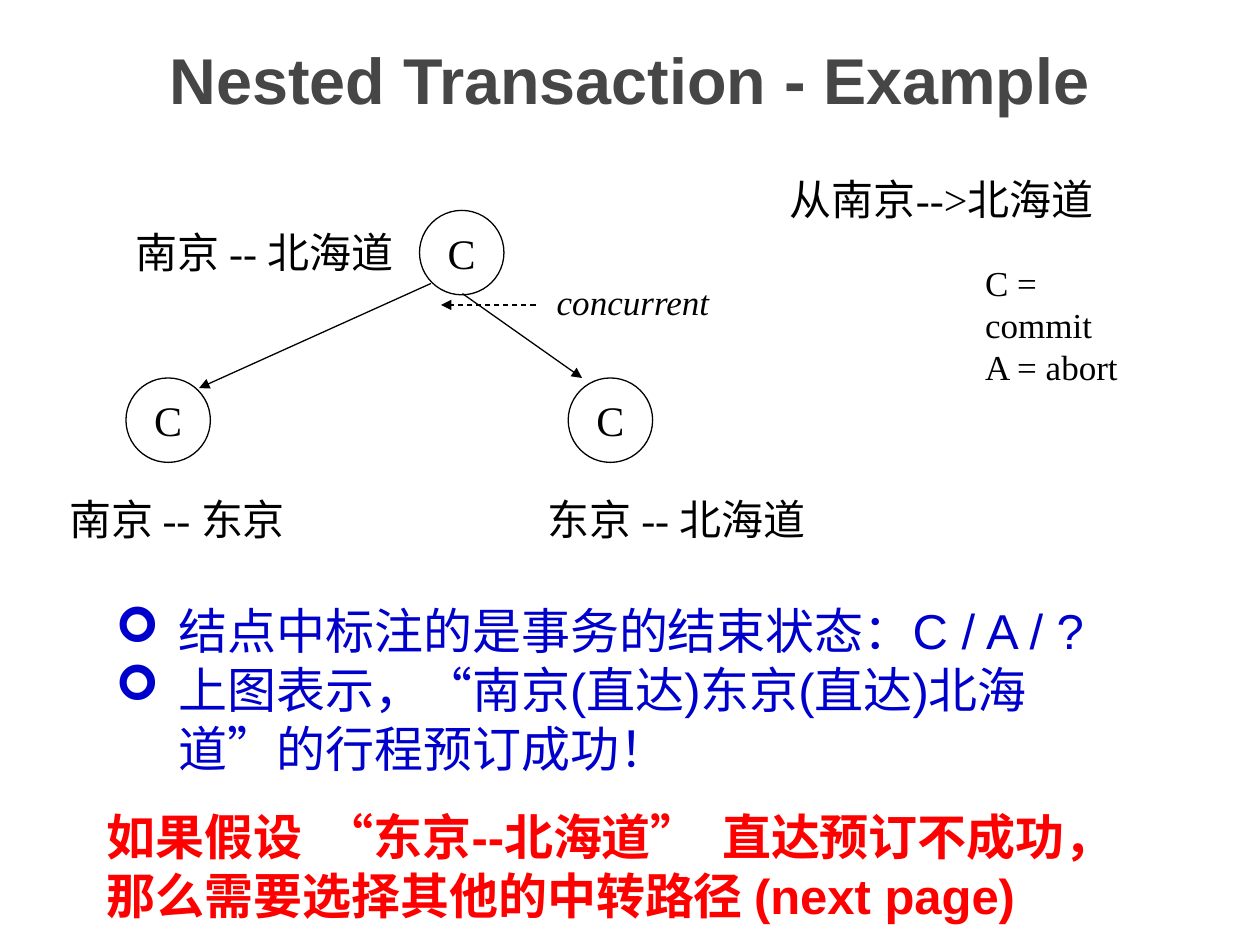
from pptx import Presentation
from pptx.dml.color import RGBColor
from pptx.enum.dml import MSO_LINE
from pptx.enum.shapes import MSO_CONNECTOR, MSO_SHAPE
from pptx.enum.text import MSO_ANCHOR, PP_ALIGN
from pptx.oxml.ns import qn
from pptx.util import Inches, Pt
from lxml.etree import SubElement

BLACK, WHITE, GRAY, BLUE, RED = "000000", "FFFFFF", "464646", "0000CC", "FF0000"
SERIF, SANS = "Times New Roman", "Arial"
NODE_SIZE = 0.67

title = "Nested Transaction - Example"
nodes = [("C", 3.33, 1.67), ("C", 1, 3), ("C", 4.51, 3)]
# text, left, top, width, height, size, italic
labels = [
    ("从南京-->北海道", 6.17, 1.33, 2.78, 0.5, 24, False),
    ("南京 -- 北海道", 0.98, 1.75, 2.26, 0.5, 24, False),
    ("南京 -- 东京", 0.45, 3.87, 1.92, 0.5, 24, False),
    ("东京 -- 北海道", 4.25, 3.87, 2.26, 0.5, 24, False),
    ("concurrent", 4.32, 2.18, 1.45, 0.43, 20, True),
    ("C = commit\nA = abort", 7.72, 2.03, 1.5, 0.77, 20, False),
]
# start, end, dashed
arrows = [
    ((3.42, 2.25), (1.58, 3.08), False),
    ((3.67, 2.33), (4.62, 3), False),
    ((4.25, 2.42), (3.5, 2.42), True),
]
remarks = ("结点中标注的是事务的结束状态：C / A / ?\n"
           "上图表示，“南京(直达)东京(直达)北海道”的行程预订成功！")
conclusion = ("如果假设  “东京--北海道”  直达预订不成功，"
              "那么需要选择其他的中转路径 (next page)")


def rgb(value):
    """Turn a hex string into a colour."""
    return RGBColor.from_string(value)


def write(frame, text, size, font=SERIF, color=BLACK, bold=False,
          italic=False, align=PP_ALIGN.LEFT):
    """Fill a text frame and format all its runs."""
    frame.text = text
    for paragraph in frame.paragraphs:
        paragraph.alignment = align
        for run in paragraph.runs:
            run.font.name, run.font.size = font, Pt(size)
            run.font.bold, run.font.italic = bold, italic
            run.font.color.rgb = rgb(color)


def add_text(left, top, width, height, text, size, **style):
    """Add a wrapping text box and return its frame."""
    box = slide.shapes.add_textbox(Inches(left), Inches(top),
                                   Inches(width), Inches(height))
    box.text_frame.word_wrap = True
    write(box.text_frame, text, size, **style)
    return box.text_frame


def add_node(state, left, top):
    """Add a transaction node marked with its end state."""
    node = slide.shapes.add_shape(MSO_SHAPE.OVAL, Inches(left), Inches(top),
                                  Inches(NODE_SIZE), Inches(NODE_SIZE))
    node.shadow.inherit = False
    node.fill.solid()
    node.fill.fore_color.rgb = rgb(WHITE)
    node.line.color.rgb = rgb(BLACK)
    node.line.width = Pt(0.75)
    node.text_frame.word_wrap = False
    node.text_frame.vertical_anchor = MSO_ANCHOR.MIDDLE
    write(node.text_frame, state, 24, align=PP_ALIGN.CENTER)


def add_arrow(start, end, dashed):
    """Add a straight arrow with a triangular head at its end."""
    arrow = slide.shapes.add_connector(
        MSO_CONNECTOR.STRAIGHT, *(Inches(value) for value in start + end))
    arrow.line.color.rgb = rgb(BLACK)
    arrow.line.width = Pt(0.75)
    if dashed:
        arrow.line.dash_style = MSO_LINE.DASH
    SubElement(arrow.line._get_or_add_ln(), qn("a:tailEnd"), type="triangle")
    SubElement(arrow._element.spPr, qn("a:effectLst"))


def add_bullets(frame, mark, indent):
    """Give every paragraph a bullet with a hanging indent."""
    for paragraph in frame.paragraphs:
        properties = paragraph._p.get_or_add_pPr()
        properties.set("marL", str(Inches(indent)))
        properties.set("indent", str(-Inches(indent)))
        SubElement(properties, qn("a:buFont"), typeface="Wingdings")
        SubElement(properties, qn("a:buChar"), char=mark)


deck = Presentation()
deck.slide_width, deck.slide_height = Inches(10), Inches(7.5)
slide = deck.slides.add_slide(deck.slide_layouts[6])

title_frame = add_text(0.75, 0, 8.5, 1.25, title, 37, font=SANS, color=GRAY,
                       bold=True, align=PP_ALIGN.CENTER)
title_frame.vertical_anchor = MSO_ANCHOR.MIDDLE

for node_data in nodes:
    add_node(*node_data)
for text, left, top, width, height, size, italic in labels:
    add_text(left, top, width, height, text, size, italic=italic)
for arrow_data in arrows:
    add_arrow(*arrow_data)

add_text(0.75, 6.35, 8.5, 1.04, conclusion, 28, font=SANS, color=RED, bold=True)
remarks_frame = add_text(0.82, 4.72, 8.27, 1.51, remarks, 28, font=SANS, color=BLUE)
add_bullets(remarks_frame, "➢", 0.5)

deck.save("out.pptx")
